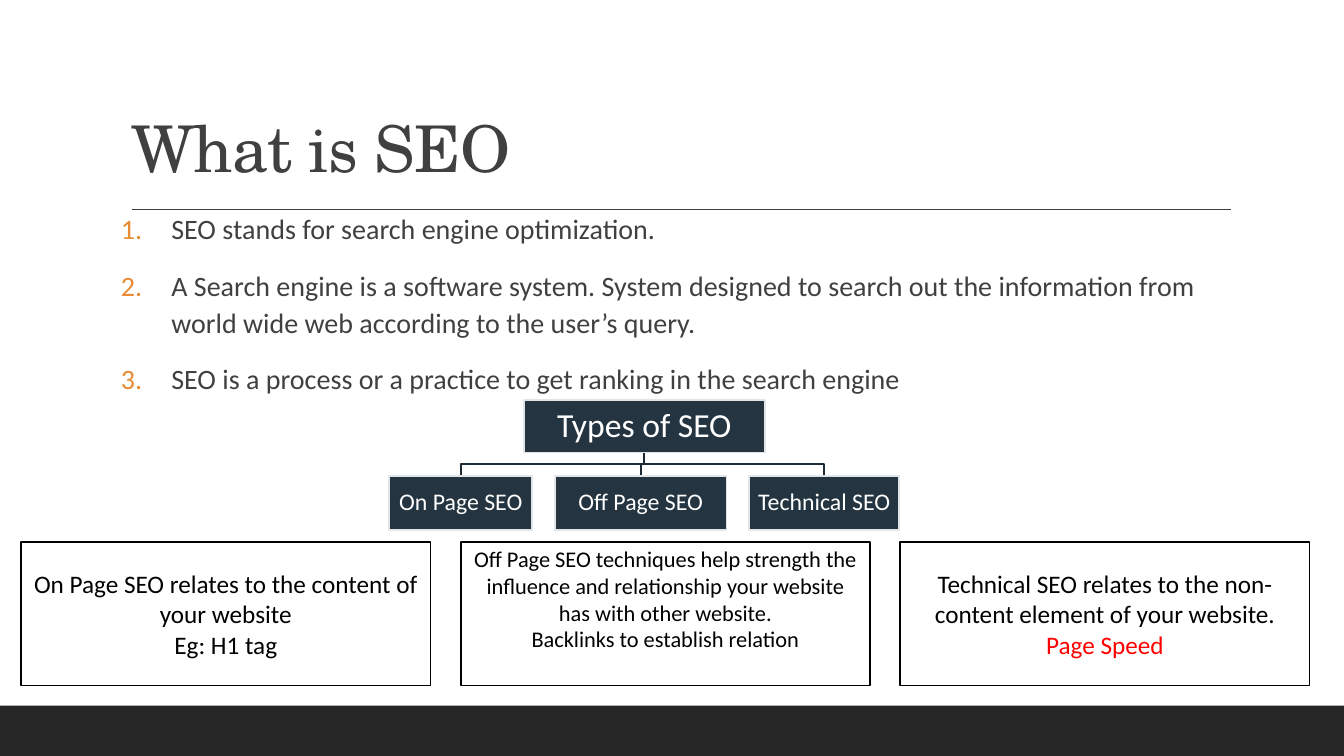
from pptx import Presentation
from pptx.dml.color import RGBColor
from pptx.enum.shapes import MSO_CONNECTOR as Conn, MSO_SHAPE as Kind
from pptx.enum.text import MSO_ANCHOR as Anchor, MSO_AUTO_SIZE as Fit, PP_ALIGN as Align
from pptx.oxml.ns import qn
from pptx.util import Inches, Pt
from lxml.etree import SubElement

SANS, SERIF = "Calibri", "TeX Gyre Schola"
DARK, NAVY, WHITE, BLACK = "404040", "243541", "FFFFFF", "000000"


def color(code):
    return RGBColor.from_string(code)


def pen(line, code, width):
    line.color.rgb = color(code)
    line.width = Pt(width)


def write(par, text, size, code, font=SANS):
    run = par.add_run()
    run.text = text
    run.font.size = Pt(size)
    run.font.name = font
    run.font.color.rgb = color(code)
    return run


def setup(frame, anchor, pad=(0.1, 0.05, 0.1, 0.05)):
    frame.word_wrap = True
    frame.auto_size = Fit.NONE
    frame.vertical_anchor = anchor
    (frame.margin_left, frame.margin_top,
     frame.margin_right, frame.margin_bottom) = map(Inches, pad)


def block(slide, box, fill, edge=None, width=1.25):
    rect = slide.shapes.add_shape(Kind.RECTANGLE, *map(Inches, box))
    rect.shadow.inherit = False
    rect.fill.solid()
    rect.fill.fore_color.rgb = color(fill)
    if edge:
        pen(rect.line, edge, width)
    else:
        rect.line.fill.background()
    return rect


def header(slide, box, text):
    left, top, width, height = box
    title = slide.shapes.title
    title.left, title.top, title.width, title.height = map(Inches, box)
    setup(title.text_frame, Anchor.BOTTOM)
    par = title.text_frame.paragraphs[0]
    par.alignment = Align.LEFT
    par.line_spacing = 0.9
    run = write(par, text, 46, DARK, SERIF)
    run.font._element.set("spc", "-50")
    # Rule under the title
    y = Inches(top + height + 0.18)
    rule = slide.shapes.add_connector(
        Conn.STRAIGHT, Inches(left + 0.11), y, Inches(left + width + 0.01), y)
    pen(rule.line, DARK, 1)
    SubElement(rule._element.spPr, qn("a:effectLst"))


def points(slide, box, items):
    frame = slide.shapes.add_textbox(*map(Inches, box)).text_frame
    setup(frame, Anchor.TOP, (0, 0.05, 0, 0.05))
    for i, text in enumerate(items):
        par = frame.paragraphs[0] if i == 0 else frame.add_paragraph()
        par.line_spacing = 1.1
        par.space_before, par.space_after = Pt(12), Pt(2)
        write(par, text, 20, DARK)
        # Orange automatic numbers
        props = par._p.get_or_add_pPr()
        props.set("marL", str(Inches(0.5)))
        props.set("indent", str(-Inches(0.5)))
        tint = SubElement(props, qn("a:buClr"))
        SubElement(tint, qn("a:srgbClr")).set("val", "E88B33")
        SubElement(props, qn("a:buFont")).set("typeface", "+mj-lt")
        SubElement(props, qn("a:buAutoNum")).set("type", "arabicPeriod")


def node(slide, box, text, size, pad):
    rect = block(slide, box, NAVY, "E2E5E8")
    setup(rect.text_frame, Anchor.MIDDLE, (pad,) * 4)
    par = rect.text_frame.paragraphs[0]
    par.alignment = Align.CENTER
    par.line_spacing = 0.9
    write(par, text, size, WHITE)


def branch(slide, start, end):
    (x1, y1), (x2, y2) = start, end
    mid = (y1 + y2) / 2
    path = [(Inches(x), Inches(y)) for x, y in [(x1, mid), (x2, mid), end]]
    pencil = slide.shapes.build_freeform(Inches(x1), Inches(y1))
    pencil.add_line_segments(path, close=False)
    bend = pencil.convert_to_shape()
    bend.shadow.inherit = False
    bend.fill.background()
    pen(bend.line, "1D2A34", 1.25)


def tree(slide, box, root, kids):
    left, top, width, height = box
    root_w, root_h, kid_h = 2.39, 0.52, 0.54
    gap = (width - sum(w for _, w in kids)) / (len(kids) - 1)
    mid, low = left + width / 2, top + height - kid_h
    # Place the lower row, then draw branches behind the nodes
    spots, x = [], left
    for text, w in kids:
        spots.append((text, x, w))
        x += w + gap
    for _, x, w in spots:
        branch(slide, (mid, top + root_h), (x + w / 2, low))
    node(slide, (mid - root_w / 2, top, root_w, root_h), root, 24, 0.02)
    for text, x, w in spots:
        node(slide, (x, low, w, kid_h), text, 17, 0.01)


def cards(slide, box, items):
    left, top, width, height = box
    wide = 4.06
    step = (width - wide) / (len(items) - 1)
    for i, (size, low, lines) in enumerate(items):
        card = block(slide, (left + i * step, top, wide, height), WHITE, BLACK)
        frame = card.text_frame
        setup(frame, Anchor.MIDDLE, (0.1, 0.05, 0.1, low))
        for j, (text, code) in enumerate(lines):
            par = frame.paragraphs[0] if j == 0 else frame.add_paragraph()
            par.alignment = Align.CENTER
            write(par, text, size, code)


deck = Presentation()
deck.slide_width, deck.slide_height = Inches(13.33), Inches(7.5)
slide = deck.slides.add_slide(deck.slide_layouts[5])

# Footer band
block(slide, (0, 7, 13.33, 0.5), "262626")

header(slide, (1.2, 0.31, 11, 1.59), "What is SEO")
points(slide, (1.2, 2.02, 11, 4.39), [
    "SEO stands for search engine optimization.",
    "A Search engine is a software system. System designed to search out "
    "the information from world wide web according to the user’s query.",
    "SEO is a process or a practice to get ranking in the search engine",
])
tree(slide, (3.86, 3.97, 5.06, 1.29), "Types of SEO", [
    ("On Page SEO", 1.42), ("Off Page SEO", 1.7), ("Technical SEO", 1.49),
])
# Each card: text size, bottom inset, lines
cards(slide, (0.21, 5.38, 12.78, 1.42), [
    (18, 0.05, [("On Page SEO relates to the content of your website", BLACK),
                ("Eg: H1 tag", BLACK)]),
    (16, 0.35, [("Off Page SEO techniques help strength the influence and "
                 "relationship your website has with other website.", BLACK),
                ("Backlinks to establish relation", BLACK)]),
    (18, 0.05, [("Technical SEO relates to the non-content element of your "
                 "website.", BLACK),
                ("Page Speed", "FF0000")]),
])

deck.save("out.pptx")
